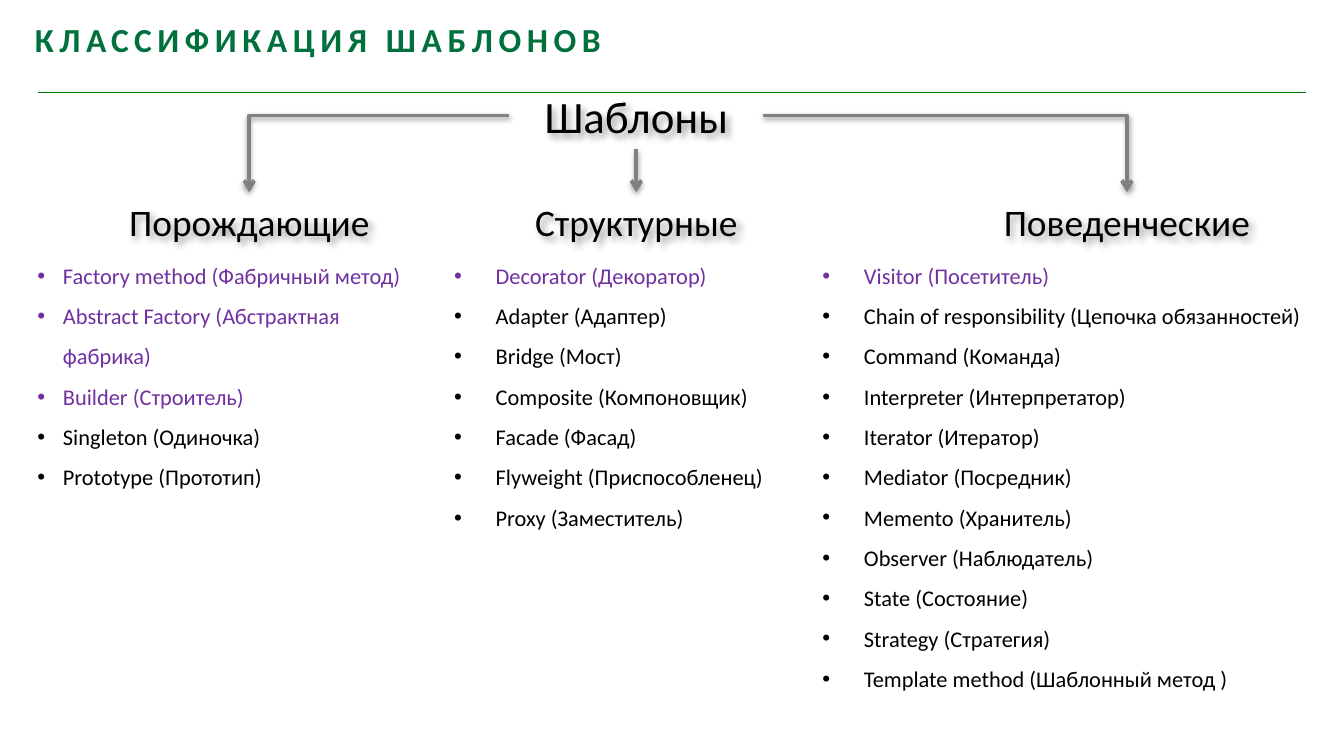
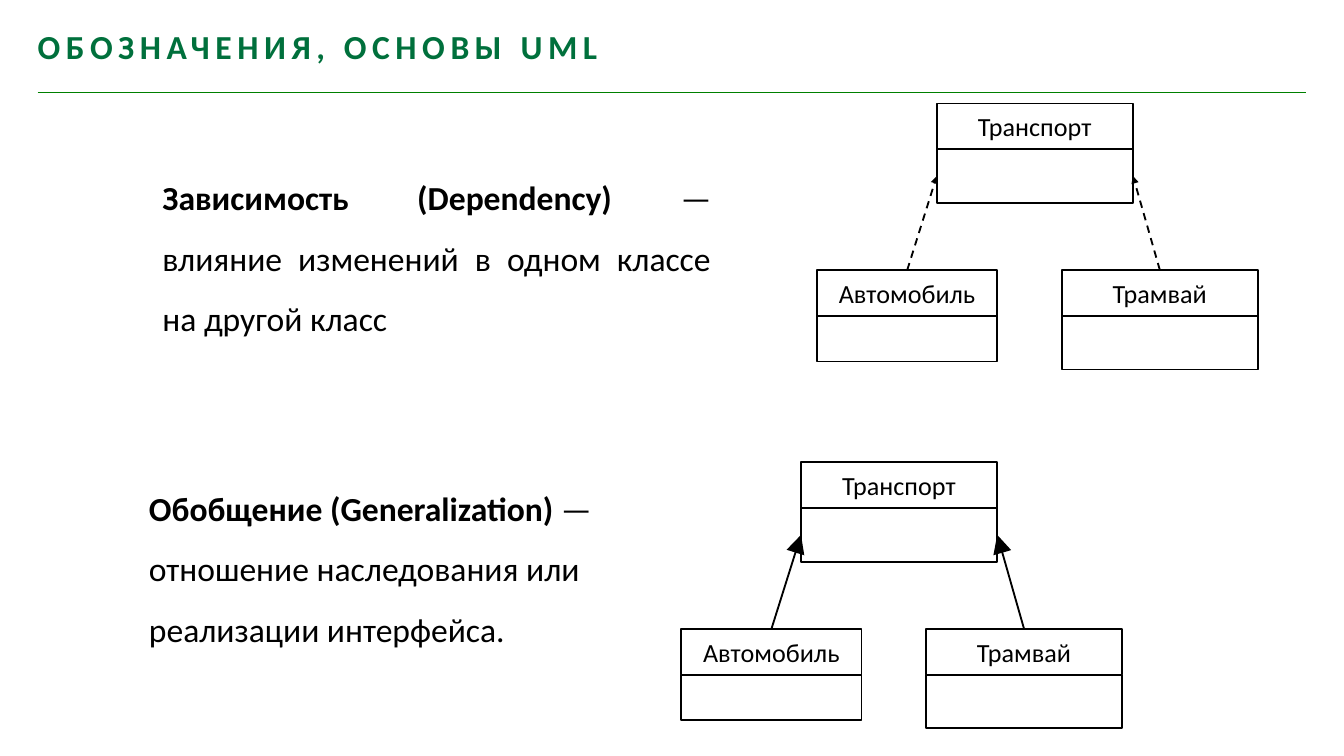
from dataclasses import dataclass

from lxml.etree import SubElement
from pptx import Presentation
from pptx.dml.color import RGBColor
from pptx.enum.dml import MSO_LINE
from pptx.enum.shapes import MSO_CONNECTOR, MSO_SHAPE
from pptx.enum.text import MSO_ANCHOR, PP_ALIGN
from pptx.oxml.ns import qn
from pptx.util import Pt

PX = 9144  # EMU per px, 100 px to the inch
TOP, LEFT, BOTTOM, RIGHT = range(4)  # connection sites of a rectangle


@dataclass(frozen=True)
class Theme:
    font: str = "Calibri"
    title: str = "00703C"
    rule: str = "008000"
    ink: str = "000000"
    accent: str = "7030A0"
    arrow: str = "808080"
    title_size: int = 18
    root_size: int = 24
    heading_size: int = 20
    list_size: int = 12
    body_size: int = 18
    class_size: int = 14


@dataclass(frozen=True)
class Area:
    left: int
    top: int
    width: int
    height: int

    def emu(self) -> tuple:
        return tuple(v * PX for v in (self.left, self.top, self.width, self.height))


@dataclass(frozen=True)
class Shadow:
    blur: float
    distance: float
    degrees: int
    opacity: int


@dataclass(frozen=True)
class Family:
    """A group of patterns: the first `marked` items are in the accent colour."""
    name: str
    heading: Area
    listing: Area
    indent: int
    marked: int
    site: int  # side of the root box that its arrow leaves
    items: tuple


@dataclass(frozen=True)
class UmlClass:
    name: str
    dx: int
    dy: int
    width: int
    members_height: int


@dataclass(frozen=True)
class Relation:
    term: str
    meaning: str
    text: Area
    align: PP_ALIGN
    left: int  # corner of the parent class
    top: int
    dashed: bool
    head: str


THEME = Theme()
LINE_SHADOW = Shadow(3.1, 1.6, 90, 38)
TEXT_SHADOW = Shadow(4, 3, 45, 40)
ROOT = Area(379, 61, 189, 50)
NAME_HEIGHT = 34

FAMILIES = (
    Family("Порождающие", Area(83, 143, 205, 44), Area(18, 180, 291, 189), 19, 3, LEFT, (
        "Factory method (Фабричный метод)", "Abstract Factory (Абстрактная фабрика)",
        "Builder (Cтроитель)", "Singleton (Одиночка)", "Prototype (Прототип)")),
    Family("Структурные", Area(328, 143, 291, 44), Area(328, 180, 258, 222), 31, 1, BOTTOM, (
        "Decorator (Декоратор)", "Adapter (Адаптер)", "Bridge (Мост)",
        "Composite (Компоновщик)", "Facade (Фасад)", "Flyweight (Приспособленец)",
        "Proxy (Заместитель)")),
    Family("Поведенческие", Area(728, 143, 221, 44), Area(602, 180, 398, 343), 31, 1, RIGHT, (
        "Visitor (Посетитель)", "Chain of responsibility (Цепочка обязанностей)",
        "Command (Команда)", "Interpreter (Интерпретатор)", "Iterator (Итератор)",
        "Mediator (Посредник)", "Memento (Хранитель)", "Observer (Наблюдатель)",
        "State (Состояние)", "Strategy (Стратегия)", "Template method (Шаблонный метод )")),
)

PARENT = UmlClass("Транспорт", 0, 0, 146, 40)
CHILDREN = (
    (UmlClass("Автомобиль", -89, 124, 134, 34), LEFT),
    (UmlClass("Трамвай", 93, 124, 146, 40), RIGHT),
)
RELATIONS = (
    Relation("Зависимость (Dependency) ", "— влияние изменений в одном классе на другой класс",
             Area(111, 112, 428, 146), PP_ALIGN.JUSTIFY, 697, 77, True, "sm"),
    Relation("Обобщение (Generalization)", " — отношение наследования или реализации интерфейса.",
             Area(101, 343, 421, 146), PP_ALIGN.LEFT, 596, 344, False, "lg"),
)


# Formatting helpers
def style_span(span, size: int, color: str = THEME.ink, bold: bool = False) -> None:
    span.font.name = THEME.font
    span.font.size = Pt(size)
    span.font.bold = bold
    span.font.color.rgb = RGBColor.from_string(color)


def style_para(para, size: int, color: str = THEME.ink, align=PP_ALIGN.LEFT) -> None:
    para.alignment = align
    for span in para.runs:
        style_span(span, size, color)


def add_effects(shape, shadow: Shadow | None = None) -> None:
    effects = SubElement(shape._element.spPr, qn("a:effectLst"))
    if shadow:
        outer = SubElement(effects, qn("a:outerShdw"), blurRad=str(Pt(shadow.blur)),
                           dist=str(Pt(shadow.distance)), dir=str(shadow.degrees * 60000),
                           algn="ctr", rotWithShape="0")
        color = SubElement(outer, qn("a:srgbClr"), val=THEME.ink)
        SubElement(color, qn("a:alpha"), val=str(shadow.opacity * 1000))


def add_bullet(para, indent: int) -> None:
    properties = para._p.get_or_add_pPr()
    properties.set("marL", str(indent * PX))
    properties.set("indent", str(-indent * PX))
    SubElement(properties, qn("a:buFont"), typeface="Arial")
    SubElement(properties, qn("a:buChar"), char="•")


# Shared parts
def add_page(deck, title: str, area: Area):
    page = deck.slides.add_slide(deck.slide_layouts[5])
    rule = page.shapes.add_connector(MSO_CONNECTOR.STRAIGHT, 28 * PX, 69 * PX, 972 * PX, 69 * PX)
    style_line(rule, THEME.rule, 0.75)
    add_effects(rule)
    box = page.shapes.title
    box.left, box.top, box.width, box.height = area.emu()
    frame = box.text_frame
    frame.text = title
    frame.vertical_anchor = MSO_ANCHOR.TOP
    frame.margin_left = frame.margin_bottom = 0
    para = frame.paragraphs[0]
    style_para(para, THEME.title_size, THEME.title)
    para.runs[0].font.bold = True
    para.runs[0].font._element.set("spc", "300")
    return page


def add_text(page, area: Area):
    box = page.shapes.add_textbox(*area.emu())
    box.text_frame.word_wrap = True
    return box


def style_line(shape, color: str, width: float) -> None:
    shape.line.color.rgb = RGBColor.from_string(color)
    shape.line.width = Pt(width)


def add_arrow(page, kind, begin, begin_site: int, end, end_site: int, color: str, width: float,
              head: str, size: str = "med", dashed: bool = False, shadow: Shadow | None = None):
    arrow = page.shapes.add_connector(kind, 0, 0, 0, 0)
    arrow.begin_connect(begin, begin_site)
    arrow.end_connect(end, end_site)
    style_line(arrow, color, width)
    if dashed:
        arrow.line.dash_style = MSO_LINE.DASH
    SubElement(arrow.line._get_or_add_ln(), qn("a:tailEnd"), type=head, w=size, len=size)
    add_effects(arrow, shadow)
    return arrow


# Pattern families
def add_heading(page, text: str, area: Area, size: int):
    box = add_text(page, area)
    box.text_frame.text = text
    style_para(box.text_frame.paragraphs[0], size, align=PP_ALIGN.CENTER)
    add_effects(box, TEXT_SHADOW)
    return box


def add_family(page, root, family: Family) -> None:
    heading = add_heading(page, family.name, family.heading, THEME.heading_size)
    straight = family.site == BOTTOM
    kind = MSO_CONNECTOR.STRAIGHT if straight else MSO_CONNECTOR.ELBOW
    arrow = add_arrow(page, kind, root, family.site, heading, TOP, THEME.arrow, 2,
                      "arrow", shadow=LINE_SHADOW)
    if not straight:  # a single corner
        arrow._element.spPr.find(qn("a:prstGeom")).set("prst", "bentConnector2")
    frame = add_text(page, family.listing).text_frame
    frame.text = "\n".join(family.items)
    for index, para in enumerate(frame.paragraphs):
        style_para(para, THEME.list_size, THEME.accent if index < family.marked else THEME.ink)
        para.line_spacing = 1.5
        add_bullet(para, family.indent)


# UML diagrams
def add_compartment(group, area: Area, text: str = ""):
    box = group.shapes.add_shape(MSO_SHAPE.RECTANGLE, *area.emu())
    box.shadow.inherit = False
    box.fill.background()
    style_line(box, THEME.ink, 1)
    if text:
        box.text_frame.text = text
        style_para(box.text_frame.paragraphs[0], THEME.class_size, align=PP_ALIGN.CENTER)
    return box


def add_class(page, uml: UmlClass, left: int, top: int) -> tuple:
    group = page.shapes.add_group_shape()
    x, y = left + uml.dx, top + uml.dy
    name = add_compartment(group, Area(x, y, uml.width, NAME_HEIGHT), uml.name)
    members = add_compartment(group, Area(x, y + NAME_HEIGHT, uml.width, uml.members_height))
    return name, members


def add_relation(page, relation: Relation) -> None:
    para = add_text(page, relation.text).text_frame.paragraphs[0]
    para.alignment = relation.align
    para.line_spacing = 1.5
    for text, bold in ((relation.term, True), (relation.meaning, False)):
        span = para.add_run()
        span.text = text
        style_span(span, THEME.body_size, bold=bold)
    _, parent = add_class(page, PARENT, relation.left, relation.top)
    for uml, side in CHILDREN:
        child, _ = add_class(page, uml, relation.left, relation.top)
        add_arrow(page, MSO_CONNECTOR.STRAIGHT, child, TOP, parent, side, THEME.ink, 1,
                  "triangle", relation.head, relation.dashed)


def main() -> None:
    deck = Presentation()
    deck.slide_width = 1000 * PX
    deck.slide_height = deck.slide_width * 9 // 16

    # Slide 1: classification
    page = add_page(deck, "КЛАССИФИКАЦИЯ ШАБЛОНОВ", Area(26, 9, 717, 72))
    root = add_heading(page, "Шаблоны", ROOT, THEME.root_size)
    for family in FAMILIES:
        add_family(page, root, family)

    # Slide 2: UML notation
    page = add_page(deck, "ОБОЗНАЧЕНИЯ, ОСНОВЫ UML", Area(28, 14, 717, 35))
    for relation in RELATIONS:
        add_relation(page, relation)

    deck.save("out.pptx")


if __name__ == "__main__":
    main()
